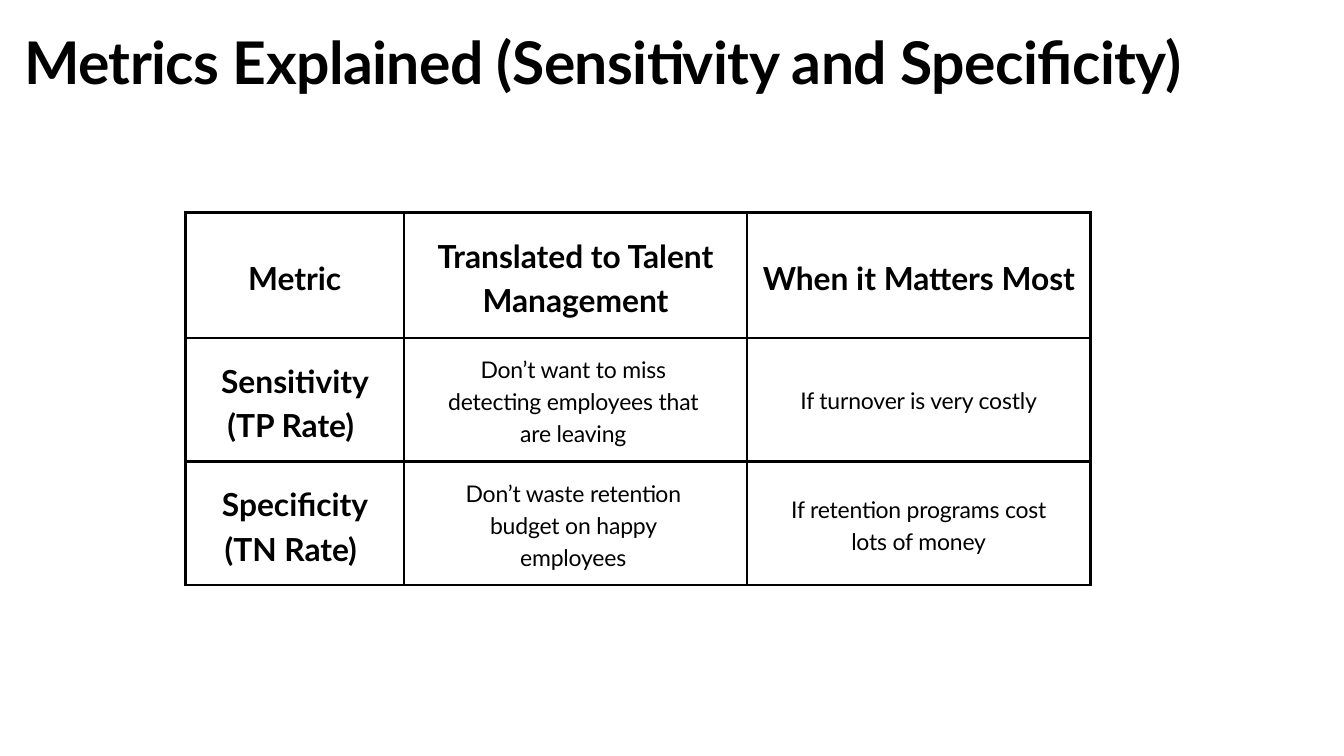
import pptx
import pptx.dml.color
import pptx.enum.text
import pptx.oxml
import pptx.oxml.ns
import pptx.util

PX = 9144  # 100 px to the inch
BLACK = "000000"
FONT = "Lato"
CENTER = pptx.enum.text.PP_ALIGN.CENTER
LEFT = pptx.enum.text.PP_ALIGN.LEFT
MIDDLE = pptx.enum.text.MSO_ANCHOR.MIDDLE

# Content
TITLE = "Metrics Explained (Sensitivity and Specificity)"
HEADERS = ["Metric", "Translated to Talent Management", "When it Matters Most"]
METRICS = ["Sensitivity (TP Rate) ", "Specificity (TN Rate) "]
# Explanations: left, top, height, text
EXPLANATIONS = [
    (662, 522, 139, "Don’t want to miss detecting employees that are leaving"),
    (1176, 568, 45, "If turnover is very costly"),
    (662, 707, 139, "Don’t waste retention budget on happy employees"),
    (1176, 730, 92, "If retention programs cost lots of money"),
]
EXPLANATION_WIDTH = 382

# Table layout
TABLE_LEFT, TABLE_TOP = 276, 316
COLUMN_WIDTHS = [325, 511, 511]
ROW_HEIGHTS = [187, 184, 184]
CELL_MARGIN = 21
BORDER_POINTS = 3


def px(length):
    return pptx.util.Emu(length * PX)


def color(value):
    return pptx.dml.color.RGBColor.from_string(value)


def write(frame, text, size, leading, bold=False, align=CENTER, spacing=0, margin=0):
    """Put one formatted paragraph into a text frame or table cell."""
    frame.margin_left = frame.margin_right = px(margin)
    frame.margin_top = frame.margin_bottom = px(margin)
    text_frame = getattr(frame, "text_frame", frame)
    text_frame.word_wrap = True
    paragraph = text_frame.paragraphs[0]
    paragraph.alignment = align
    paragraph.line_spacing = pptx.util.Pt(leading)
    run = paragraph.add_run()
    run.text = text
    run.font.name = FONT
    run.font.size = pptx.util.Pt(size)
    run.font.bold = bold
    run.font.color.rgb = color(BLACK)
    if spacing:
        run.font._element.set("spc", str(round(spacing * 100)))


def add_text(slide, left, top, width, height, text, **text_format):
    box = slide.shapes.add_textbox(px(left), px(top), px(width), px(height))
    write(box.text_frame, text, **text_format)


def add_borders(cell):
    properties = cell._tc.get_or_add_tcPr()
    width = pptx.util.Pt(BORDER_POINTS)
    for side in ("lnL", "lnR", "lnT", "lnB"):
        properties.append(pptx.oxml.parse_xml(
            f'<a:{side} {pptx.oxml.ns.nsdecls("a")} w="{width}">'
            f'<a:solidFill><a:srgbClr val="{BLACK}"/></a:solidFill></a:{side}>'))


def add_metric_table(slide):
    table = slide.shapes.add_table(
        len(ROW_HEIGHTS), len(COLUMN_WIDTHS), px(TABLE_LEFT), px(TABLE_TOP),
        px(sum(COLUMN_WIDTHS)), px(sum(ROW_HEIGHTS))).table
    table.first_row = table.horz_banding = False
    for column, width in zip(table.columns, COLUMN_WIDTHS):
        column.width = px(width)
    for row, height in zip(table.rows, ROW_HEIGHTS):
        row.height = px(height)
    for cell in table.iter_cells():
        add_borders(cell)
        cell.fill.background()
        cell.vertical_anchor = MIDDLE

    labels = [(0, column, text) for column, text in enumerate(HEADERS)]
    labels += [(row, 0, text) for row, text in enumerate(METRICS, start=1)]
    for row, column, text in labels:
        write(table.cell(row, column), text, size=34, leading=47.6, bold=True,
              margin=CELL_MARGIN)


def main():
    presentation = pptx.Presentation()
    presentation.slide_width, presentation.slide_height = px(2000), px(1125)
    slide = presentation.slides.add_slide(presentation.slide_layouts[6])

    # Table with headers and metric names
    add_metric_table(slide)

    # Title
    add_text(slide, 36, 21, 1927, 119, TITLE, size=63, leading=88.3, bold=True,
             align=LEFT, spacing=-0.6)

    # Explanations over the table's inner cells
    for left, top, height, text in EXPLANATIONS:
        add_text(slide, left, top, EXPLANATION_WIDTH, height, text,
                 size=24.6, leading=34.4, spacing=-0.2)

    presentation.save("out.pptx")


if __name__ == "__main__":
    main()
